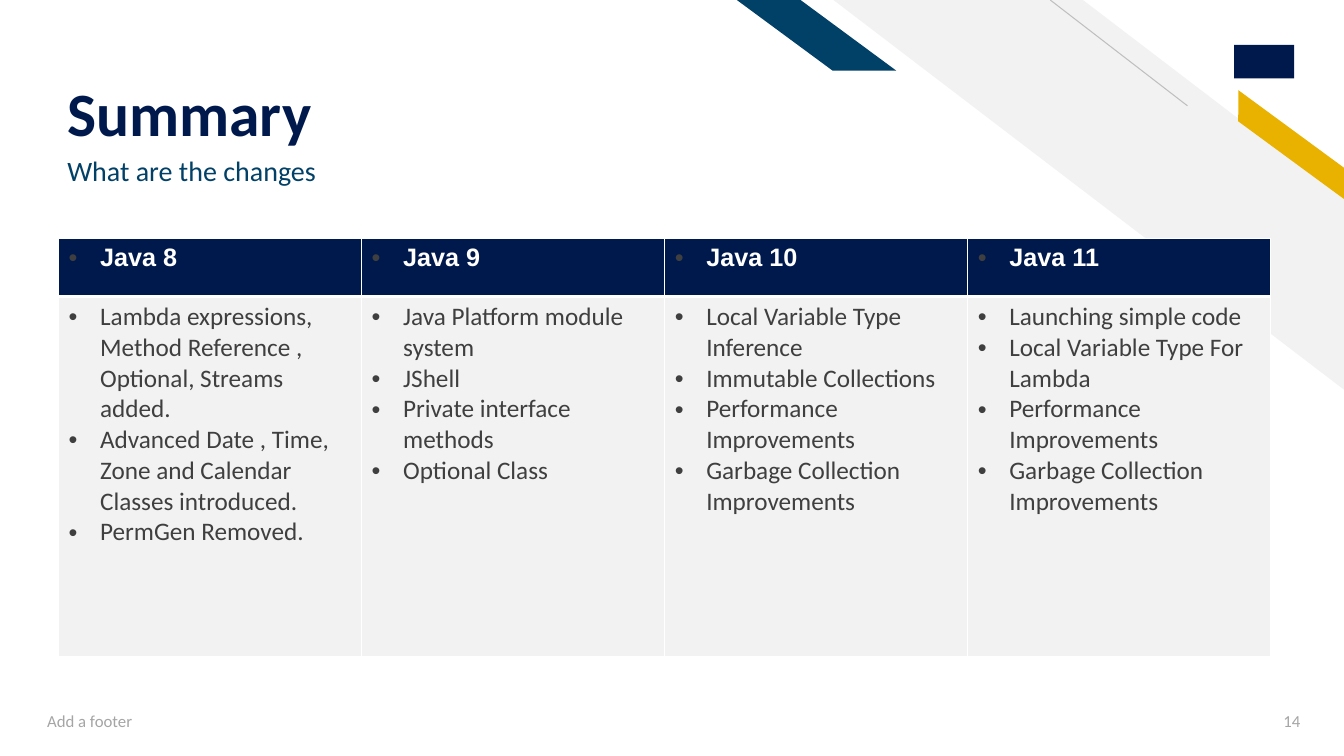
from dataclasses import dataclass

from lxml import etree
from pptx import Presentation
from pptx.dml.color import RGBColor
from pptx.enum.shapes import MSO_CONNECTOR, MSO_SHAPE
from pptx.enum.text import MSO_ANCHOR, PP_ALIGN
from pptx.oxml.ns import qn
from pptx.util import Pt

STRIPE = MSO_SHAPE.DIAGONAL_STRIPE
PARALLELOGRAM = MSO_SHAPE.PARALLELOGRAM
RECTANGLE = MSO_SHAPE.RECTANGLE
STRAIGHT = MSO_CONNECTOR.STRAIGHT
TOP, MIDDLE, BOTTOM = MSO_ANCHOR.TOP, MSO_ANCHOR.MIDDLE, MSO_ANCHOR.BOTTOM
LEFT, RIGHT = PP_ALIGN.LEFT, PP_ALIGN.RIGHT

COLORS = {
    "navy": "00194C",
    "blue": "014067",
    "gold": "EAB200",
    "pale": "F2F2F2",
    "line": "BFBFBF",
    "text": "3F3F3F",
    "muted": "A5A5A5",
    "white": "FFFFFF",
}


@dataclass(frozen=True)
class Ornament:
    kind: int
    frame: tuple[float, float, float, float]
    color: str
    adjustment: float | None = None
    rotation: float = 0


@dataclass(frozen=True)
class Label:
    text: str
    frame: tuple[float, float, float, float]
    size: float
    color: str
    bold: bool = False
    anchor: int = TOP
    align: int = LEFT
    spacing: float = 1.0
    bottom_inset: float = 3.6


@dataclass(frozen=True)
class Release:
    name: str
    changes: tuple[str, ...]


ORNAMENTS = (
    Ornament(STRIPE, (595.4, 0, 365, 278.6), "pale", 0.512),
    Ornament(PARALLELOGRAM, (869, 94.3, 106.6, 18), "gold", 0.72, 36.3),
    Ornament(PARALLELOGRAM, (526.3, 0, 113.8, 50.4), "blue", 1.356),
    Ornament(RECTANGLE, (881.5, 32, 43, 24), "navy"),
)

LABELS = (
    Label("What are the changes", (41, 108.7, 580.3, 48.2), 20, "blue", spacing=0.9),
    Label("Add a footer", (26.6, 500.4, 324, 28.8), 12, "muted", anchor=MIDDLE),
    Label("14", (877.7, 500.4, 58.3, 28.8), 12, "muted", anchor=MIDDLE, align=RIGHT),
    Label("Summary", (41, 16.6, 655.9, 90.7), 44, "navy", True, BOTTOM,
          spacing=0.9, bottom_inset=0),
)

RELEASES = (
    Release("Java 8", (
        "Lambda expressions, Method Reference , Optional, Streams added.",
        "Advanced Date , Time, Zone and Calendar Classes introduced.",
        "PermGen Removed.",
    )),
    Release("Java 9", (
        "Java Platform module system",
        "JShell",
        "Private interface methods",
        "Optional Class",
    )),
    Release("Java 10", (
        "Local Variable Type Inference",
        "Immutable Collections",
        "Performance Improvements",
        "Garbage Collection Improvements",
    )),
    Release("Java 11", (
        "Launching simple code",
        "Local Variable Type For Lambda",
        "Performance Improvements",
        "Garbage Collection Improvements",
    )),
)

TABLE_LEFT, TABLE_TOP = 41.8, 170.6
COLUMN_WIDTH = 216.5
ROW_HEIGHTS = (41.3, 257)
BULLET_INDENT = 22.5
HEADER_BORDERS = {"lnL": 1, "lnR": 1, "lnT": 1, "lnB": 3}
BODY_BORDERS = {"lnL": 1, "lnR": 1, "lnT": 3, "lnB": 1}


def rgb(color: str) -> RGBColor:
    return RGBColor.from_string(COLORS[color])


def set_values(target, values: dict) -> None:
    for name, value in values.items():
        setattr(target, name, value)


def write_span(para, text: str, size: float, color: str, font: str, bold: bool) -> None:
    span = para.add_run()
    span.text = text
    set_values(span.font, {"name": font, "size": Pt(size), "bold": bold})
    span.font.color.rgb = rgb(color)


def add_ornament(page, ornament: Ornament) -> None:
    shape = page.shapes.add_shape(ornament.kind, *map(Pt, ornament.frame))
    shape.shadow.inherit = False
    shape.fill.solid()
    shape.fill.fore_color.rgb = rgb(ornament.color)
    shape.line.fill.background()
    if ornament.adjustment is not None:
        shape.adjustments[0] = ornament.adjustment
        shape.rotation = ornament.rotation
        shape._element.spPr.find(qn("a:xfrm")).set("flipH", "1")


def add_thin_line(page) -> None:
    line = page.shapes.add_connector(STRAIGHT, Pt(848.2), Pt(75.6), Pt(750.2), Pt(0))
    line.line.color.rgb = rgb("line")
    line.line.width = Pt(0.75)
    etree.SubElement(line._element.spPr, qn("a:effectLst"))


def add_label(page, label: Label) -> None:
    box = page.shapes.add_textbox(*map(Pt, label.frame))
    set_values(box.text_frame, {
        "word_wrap": True,
        "vertical_anchor": label.anchor,
        "margin_bottom": Pt(label.bottom_inset),
    })
    para = box.text_frame.paragraphs[0]
    set_values(para, {"alignment": label.align, "line_spacing": label.spacing})
    write_span(para, label.text, label.size, label.color, "Calibri", label.bold)


def add_bullet(para) -> None:
    properties = para._p.get_or_add_pPr()
    properties.set("marL", str(Pt(BULLET_INDENT)))
    properties.set("indent", str(-Pt(BULLET_INDENT)))
    color = etree.SubElement(properties, qn("a:buClr"))
    etree.SubElement(color, qn("a:srgbClr"), val=COLORS["text"])
    etree.SubElement(properties, qn("a:buFont"), typeface="Arial")
    etree.SubElement(properties, qn("a:buChar"), char="•")


def fill_cell(cell, lines: tuple[str, ...], header: bool) -> None:
    properties = cell._tc.get_or_add_tcPr()
    for side, width in (HEADER_BORDERS if header else BODY_BORDERS).items():
        border = etree.SubElement(properties, qn(f"a:{side}"), w=str(Pt(width)))
        paint = etree.SubElement(border, qn("a:solidFill"))
        etree.SubElement(paint, qn("a:srgbClr"), val=COLORS["white"])
    cell.fill.solid()
    cell.fill.fore_color.rgb = rgb("navy" if header else "pale")
    font, color = ("Arial", "white") if header else ("Calibri", "text")
    for index, line in enumerate(lines):
        frame = cell.text_frame
        para = frame.add_paragraph() if index else frame.paragraphs[0]
        add_bullet(para)
        write_span(para, line, 18, color, font, header)


def add_release_table(page) -> None:
    table = page.shapes.add_table(
        len(ROW_HEIGHTS), len(RELEASES), Pt(TABLE_LEFT), Pt(TABLE_TOP),
        Pt(COLUMN_WIDTH * len(RELEASES)), Pt(sum(ROW_HEIGHTS)),
    ).table
    table.horz_banding = False
    for row, height in zip(table.rows, ROW_HEIGHTS):
        row.height = Pt(height)
    for index, release in enumerate(RELEASES):
        table.columns[index].width = Pt(COLUMN_WIDTH)
        fill_cell(table.cell(0, index), (release.name,), True)
        fill_cell(table.cell(1, index), release.changes, False)


def main() -> None:
    deck = Presentation()
    set_values(deck, {"slide_width": Pt(960), "slide_height": Pt(540)})
    page = deck.slides.add_slide(deck.slide_layouts[6])
    for ornament in ORNAMENTS:
        add_ornament(page, ornament)
    add_thin_line(page)
    add_release_table(page)
    for label in LABELS:
        add_label(page, label)
    deck.save("out.pptx")


if __name__ == "__main__":
    main()
